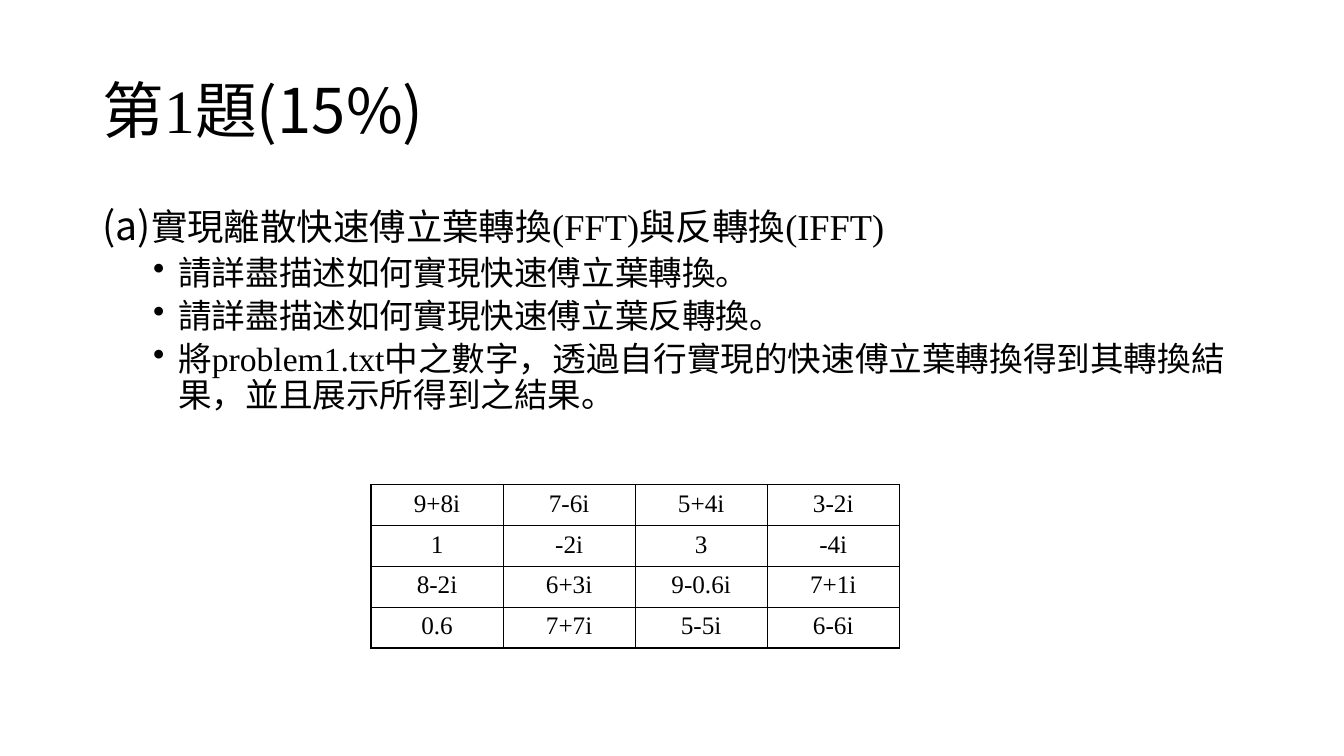
from dataclasses import dataclass

from lxml.etree import SubElement
from pptx import Presentation
from pptx.dml.color import RGBColor
from pptx.enum.text import MSO_ANCHOR, PP_ALIGN
from pptx.oxml.ns import qn
from pptx.util import Inches, Pt


@dataclass(frozen=True)
class Theme:
    """Colours, fonts and type sizes of the page."""

    ink: str = "000000"
    sans: str = "Noto Sans CJK SC"
    serif: str = "Times New Roman"
    title: int = 44
    label: int = 28
    question: int = 26
    task: int = 24
    cell: int = 18
    border: int = 1
    leading: float = 0.9


THEME = Theme()
WIDTH, HEIGHT = Inches(13.33), Inches(7.5)
LEFT, SPAN = 0.069, 0.863

TITLE = [("第", THEME.sans, THEME.title), ("1", THEME.serif, THEME.title),
         ("題(15%)", THEME.sans, THEME.title)]
QUESTION = [("(a)", THEME.sans, THEME.label),
            ("實現離散快速傅立葉轉換(FFT)與反轉換(IFFT)", THEME.serif, THEME.question)]
TASKS = ["請詳盡描述如何實現快速傅立葉轉換。",
         "請詳盡描述如何實現快速傅立葉反轉換。",
         "將problem1.txt中之數字，透過自行實現的快速傅立葉轉換得到其轉換結果，並且展示所得到之結果。"]
NUMBERS = [["9+8i", "7-6i", "5+4i", "3-2i"],
           ["1", "-2i", "3", "-4i"],
           ["8-2i", "6+3i", "9-0.6i", "7+1i"],
           ["0.6", "7+7i", "5-5i", "6-6i"]]


def style_span(span, latin, size):
    """Give a run its colour, size, Latin font and East Asian font."""
    span.font.size = Pt(size)
    span.font.color.rgb = RGBColor.from_string(THEME.ink)
    span.font.name = latin
    SubElement(span.font._element, qn("a:ea"), typeface=THEME.sans)


def write_para(para, spans, before=0):
    """Fill a paragraph with (text, font, size) spans."""
    para.line_spacing = THEME.leading
    para.space_before = Pt(before)
    for text, latin, size in spans:
        span = para.add_run()
        span.text = text
        style_span(span, latin, size)


def add_bullet(para, indent=0.75, hanging=0.25):
    """Turn a paragraph into a second-level bullet."""
    para.level = 1
    props = para._p.get_or_add_pPr()
    props.set("marL", str(Inches(indent)))
    props.set("indent", str(-Inches(hanging)))
    SubElement(props, qn("a:buChar"), char="•")


def add_text_frame(page, top, height, anchor):
    """Add a wrapping text box in the main column and return its frame."""
    box = page.shapes.add_textbox(int(LEFT * WIDTH), int(top * HEIGHT),
                                  int(SPAN * WIDTH), int(height * HEIGHT))
    box.text_frame.word_wrap = True
    box.text_frame.vertical_anchor = anchor
    return box.text_frame


def add_title(page):
    """Write the problem number and its weight."""
    frame = add_text_frame(page, 0.053, 0.193, MSO_ANCHOR.MIDDLE)
    write_para(frame.paragraphs[0], TITLE)


def add_question(page):
    """Write the question and its bulleted tasks."""
    frame = add_text_frame(page, 0.267, 0.635, MSO_ANCHOR.TOP)
    write_para(frame.paragraphs[0], QUESTION, before=10)
    for task in TASKS:
        para = frame.add_paragraph()
        write_para(para, [(task, THEME.serif, THEME.task)], before=5)
        add_bullet(para)


def add_borders(cell):
    """Draw a thin line on the four sides of a cell."""
    props = cell._tc.get_or_add_tcPr()
    for side in ("lnL", "lnR", "lnT", "lnB"):
        line = SubElement(props, qn(f"a:{side}"), w=str(Pt(THEME.border)))
        fill = SubElement(line, qn("a:solidFill"))
        SubElement(fill, qn("a:srgbClr"), val=THEME.ink)


def add_number_table(page, left=3.68, top=4.81, column=1.31, row=0.405):
    """Add the grid of complex numbers."""
    rows, columns = len(NUMBERS), len(NUMBERS[0])
    table = page.shapes.add_table(rows, columns, Inches(left), Inches(top),
                                  Inches(column * columns), Inches(row * rows)).table
    table.first_row = table.horz_banding = False
    for r, values in enumerate(NUMBERS):
        for c, value in enumerate(values):
            cell = table.cell(r, c)
            cell.text_frame.text = value
            para = cell.text_frame.paragraphs[0]
            para.alignment = PP_ALIGN.CENTER
            style_span(para.runs[0], THEME.serif, THEME.cell)
            add_borders(cell)
            cell.fill.background()


def main():
    """Build the page and save the deck."""
    deck = Presentation()
    deck.slide_width, deck.slide_height = WIDTH, HEIGHT
    page = deck.slides.add_slide(deck.slide_layouts[6])
    add_title(page)
    add_question(page)
    add_number_table(page)
    deck.save("out.pptx")


main()
